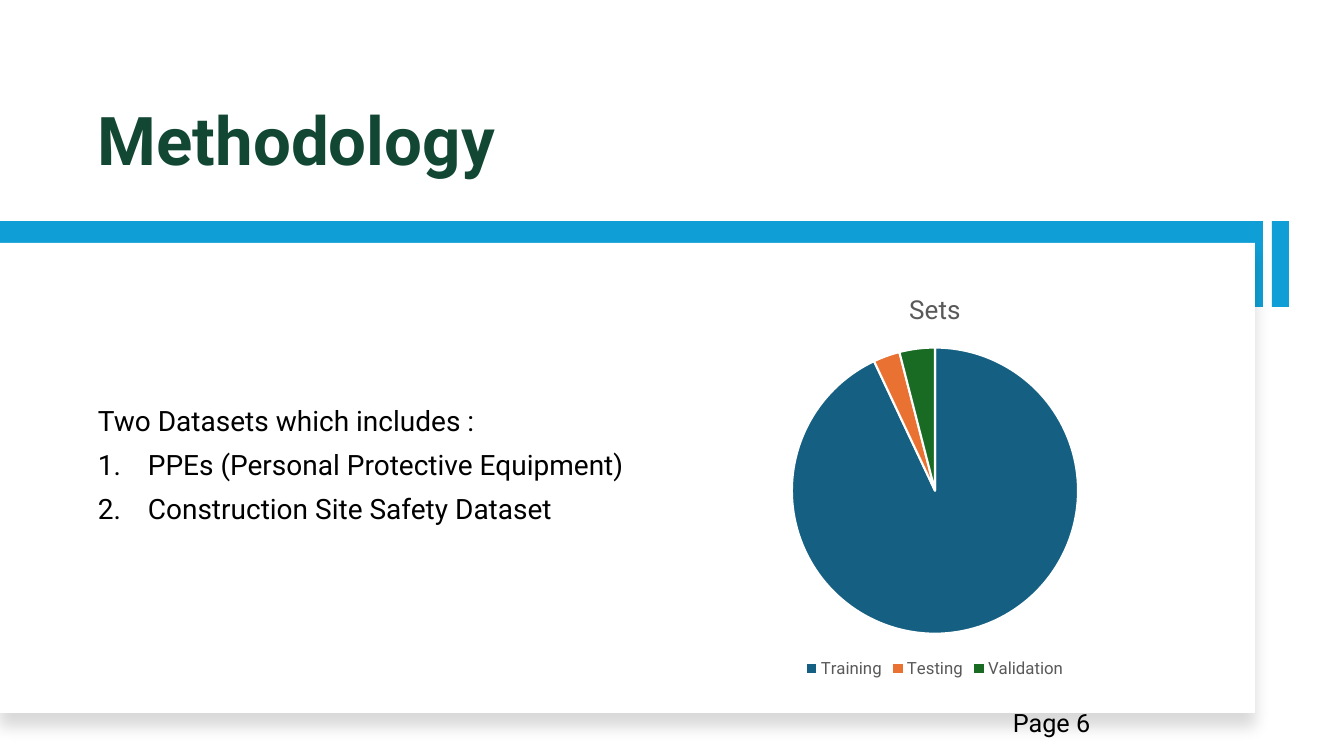
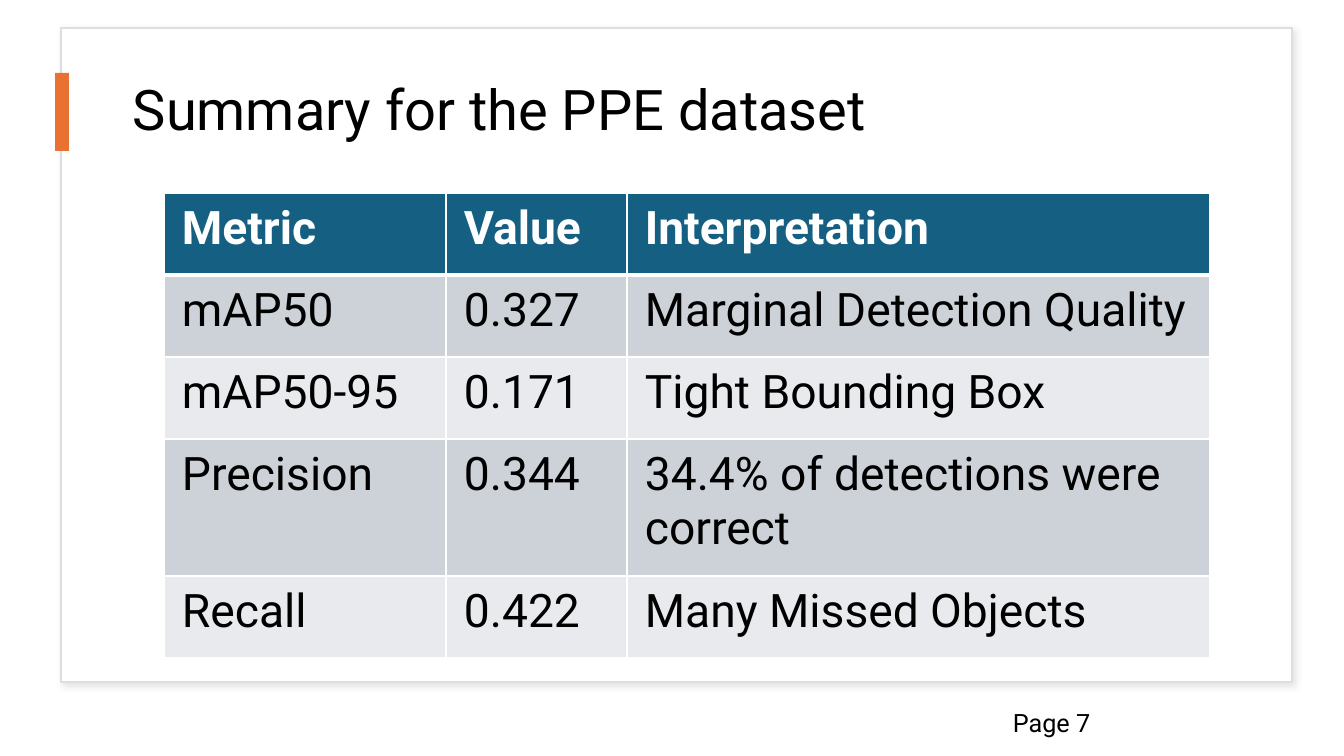
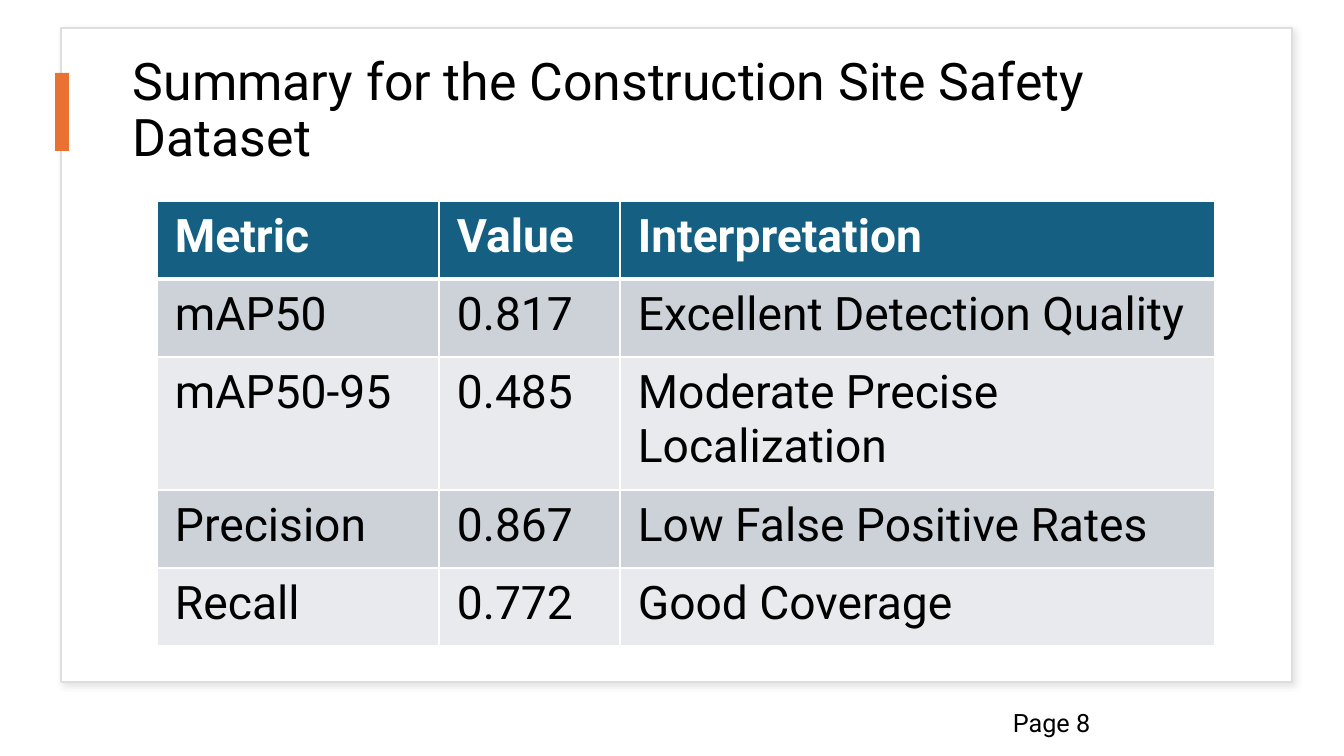
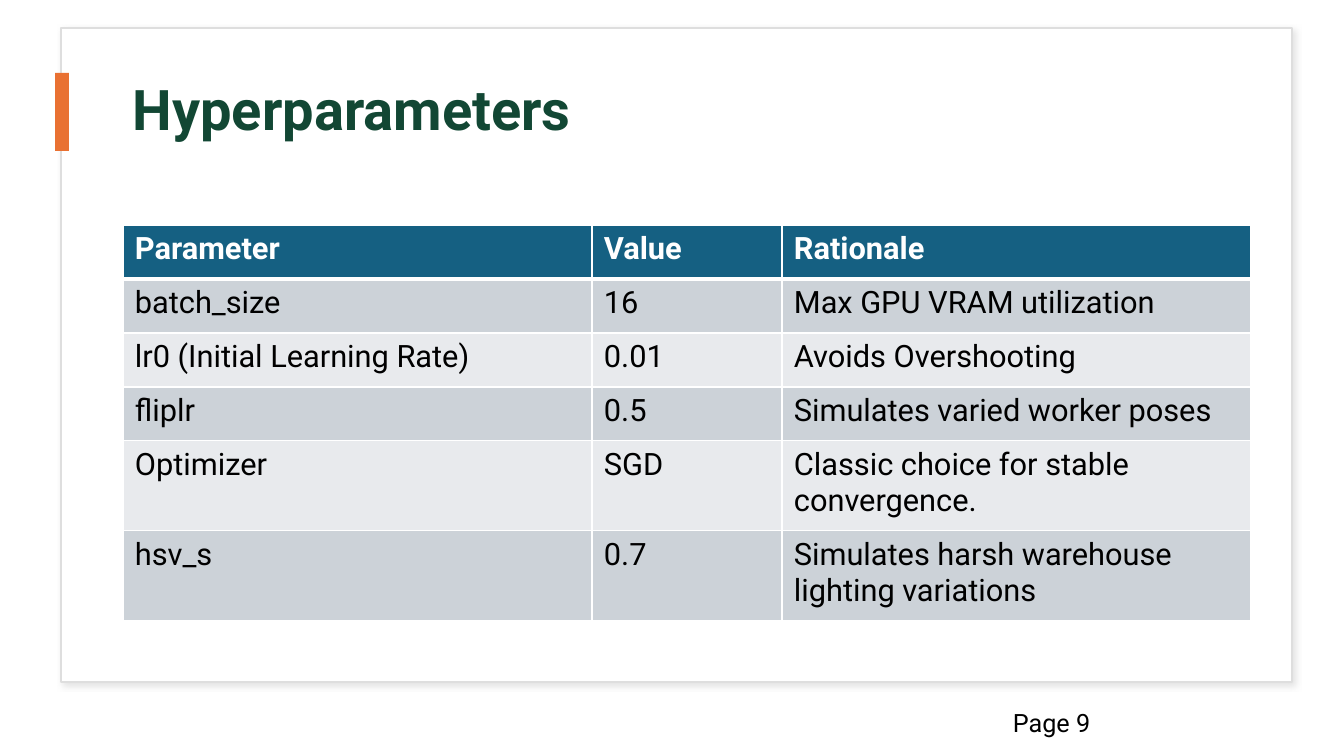
"""Build four slides on the methodology, results and hyperparameters of a safety detector."""
from dataclasses import dataclass

from lxml import etree
from pptx import Presentation
from pptx.chart.data import CategoryChartData
from pptx.dml.color import RGBColor
from pptx.enum.chart import XL_CHART_TYPE, XL_LEGEND_POSITION
from pptx.enum.shapes import MSO_SHAPE
from pptx.enum.text import MSO_ANCHOR
from pptx.oxml.ns import qn
from pptx.util import Emu, Pt

RECTANGLE = MSO_SHAPE.RECTANGLE
PIE = XL_CHART_TYPE.PIE
LEGEND_BOTTOM = XL_LEGEND_POSITION.BOTTOM
TOP, MIDDLE, BOTTOM = MSO_ANCHOR.TOP, MSO_ANCHOR.MIDDLE, MSO_ANCHOR.BOTTOM


@dataclass(frozen=True)
class Theme:
    font: str = "Roboto"
    ink: str = "000000"
    white: str = "FFFFFF"
    green: str = "124734"
    sky: str = "0F9ED5"
    teal: str = "156082"
    orange: str = "E97132"
    leaf: str = "196B24"
    gray: str = "595959"
    frame: str = "DEDEDE"
    frame_shadow: str = "C5C5C5"
    odd_row: str = "CCD2D8"
    even_row: str = "E8EAED"
    hero_size: float = 48
    title_size: float = 40
    long_title_size: float = 37
    metric_size: float = 33
    parameter_size: float = 22
    body_size: float = 20
    page_size: float = 18
    chart_title_size: float = 18.6
    legend_size: float = 12


THEME = Theme()
EMU_PER_PX = 12192000 / 1344


def px(length):
    return Emu(round(length * EMU_PER_PX))


def add_text(slide, box, lines, size, color=THEME.ink, bold=False, anchor=TOP, spacing=0.9, gap=0):
    frame = slide.shapes.add_textbox(*map(px, box)).text_frame
    frame.word_wrap = True
    frame.vertical_anchor = anchor
    frame.text = "\n".join(lines)
    for paragraph in frame.paragraphs:
        paragraph.line_spacing = spacing
        paragraph.space_before = Pt(gap)
        font = paragraph.runs[0].font
        font.name, font.size, font.bold = THEME.font, Pt(size), bold
        font.color.rgb = RGBColor.from_string(color)
    return frame


HERO_BLOCKS = [
    ((0, 221, 1263, 86), THEME.sky, None, None),
    ((0, 243, 1255, 470), THEME.white, None, (THEME.ink, 15, 11, 10, 90)),
    ((1272, 221, 17, 86), THEME.sky, None, None),
]
CARD_BLOCKS = [
    ((61, 28, 1231, 654), THEME.white, THEME.frame, (THEME.frame_shadow, 50, 4, 3, 45)),
    ((55, 73, 14, 78), THEME.orange, None, None),
]
HERO_TITLE = (88, 42, 1110, 143)
CARD_TITLE = (123, 56, 1128, 112)

PPE_RESULTS = {
    "corner": (164, 193), "columns": (282, 181, 583), "heights": (82, 82, 82, 137, 82),
    "size": THEME.metric_size, "insets": (18, 9),
    "rows": [
        ("Metric", "Value", "Interpretation"),
        ("mAP50", "0.327", "Marginal Detection Quality"),
        ("mAP50-95", "0.171", "Tight Bounding Box"),
        ("Precision", "0.344", "34.4% of detections were correct"),
        ("Recall", "0.422", "Many Missed Objects"),
    ],
}
SITE_RESULTS = {
    "corner": (157, 201), "columns": (282, 181, 595), "heights": (78, 78, 133, 78, 78),
    "size": THEME.metric_size, "insets": (18, 9),
    "rows": [
        ("Metric", "Value", "Interpretation"),
        ("mAP50", "0.817", "Excellent Detection Quality"),
        ("mAP50-95", "0.485", "Moderate Precise Localization"),
        ("Precision", "0.867", "Low False Positive Rates"),
        ("Recall", "0.772", "Good Coverage"),
    ],
}
HYPERPARAMETERS = {
    "corner": (123, 225), "columns": (469, 190, 469), "heights": (54, 54, 54, 54, 90, 90),
    "size": THEME.parameter_size, "insets": (12, 6),
    "rows": [
        ("Parameter", "Value", "Rationale"),
        ("batch_size", "16", "Max GPU VRAM utilization"),
        ("lr0 (Initial Learning Rate)", "0.01", "Avoids Overshooting"),
        ("fliplr", "0.5", "Simulates varied worker poses"),
        ("Optimizer", "SGD", "Classic choice for stable convergence."),
        ("hsv_s", "0.7", "Simulates harsh warehouse lighting variations"),
    ],
}
PAGES = [
    ("Methodology", HERO_TITLE, THEME.hero_size, THEME.green, BOTTOM, HERO_BLOCKS, None),
    ("Summary for the PPE dataset", CARD_TITLE, THEME.title_size, THEME.ink, MIDDLE,
     CARD_BLOCKS, PPE_RESULTS),
    ("Summary for the Construction Site Safety Dataset", CARD_TITLE, THEME.long_title_size,
     THEME.ink, MIDDLE, CARD_BLOCKS, SITE_RESULTS),
    ("Hyperparameters", CARD_TITLE, THEME.title_size, THEME.green, MIDDLE,
     CARD_BLOCKS, HYPERPARAMETERS),
]

deck = Presentation()
deck.slide_width, deck.slide_height = px(1344), px(756)

for number, (title, title_box, title_size, title_color, anchor, blocks, grid) in enumerate(PAGES, 6):
    slide = deck.slides.add_slide(deck.slide_layouts[6])

    for box, fill, outline, shadow in blocks:
        block = slide.shapes.add_shape(RECTANGLE, *map(px, box))
        block.fill.solid()
        block.fill.fore_color.rgb = RGBColor.from_string(fill)
        if outline:
            block.line.color.rgb = RGBColor.from_string(outline)
            block.line.width = Pt(1)
        else:
            block.line.fill.background()
        block.shadow.inherit = False
        if shadow:
            shade, opacity, blur, distance, angle = shadow
            effects = block._element.spPr.find(qn("a:effectLst"))
            outer = etree.SubElement(
                effects, qn("a:outerShdw"), blurRad=str(Pt(blur)), dist=str(Pt(distance)),
                dir=str(angle * 60000), algn="t", rotWithShape="0")
            tint = etree.SubElement(outer, qn("a:srgbClr"), val=shade)
            etree.SubElement(tint, qn("a:alpha"), val=str(opacity * 1000))

    add_text(slide, title_box, [title], title_size, title_color, title_color == THEME.green, anchor)
    add_text(slide, (1003, 702, 290, 40), [f"Page {number}"], THEME.page_size, spacing=1)

    if not grid:
        datasets = add_text(
            slide, (88, 286, 564, 361),
            ["Two Datasets which includes :", "PPEs (Personal Protective Equipment)",
             "Construction Site Safety Dataset"],
            THEME.body_size, anchor=MIDDLE, gap=10)
        for item in datasets.paragraphs[1:]:
            properties = item._p.get_or_add_pPr()
            properties.set("marL", str(px(50)))
            properties.set("indent", str(px(-50)))
            etree.SubElement(properties, qn("a:buAutoNum"), type="arabicPeriod")

        split = CategoryChartData()
        split.categories = ["Training", "Testing", "Validation"]
        split.add_series("Sets", (93, 3, 4))
        sets = slide.shapes.add_chart(PIE, *map(px, (651, 274, 568, 409)), split).chart
        sets.font.name, sets.font.size = THEME.font, Pt(THEME.legend_size)
        sets.has_title = True
        sets.chart_title.include_in_layout = False
        sets.chart_title.text_frame.text = "Sets"
        heading = sets.chart_title.text_frame.paragraphs[0].runs[0].font
        heading.size, heading.bold = Pt(THEME.chart_title_size), False
        sets.has_legend = True
        sets.legend.position = LEGEND_BOTTOM
        sets.legend.include_in_layout = False
        for font in (heading, sets.legend.font):
            font.name = THEME.font
            font.color.rgb = RGBColor.from_string(THEME.gray)
        sets.legend.font.size = Pt(THEME.legend_size)
        sets.plots[0].vary_by_categories = True
        for index, color in enumerate((THEME.teal, THEME.orange, THEME.leaf)):
            wedge = sets.plots[0].series[0].points[index].format
            wedge.fill.solid()
            wedge.fill.fore_color.rgb = RGBColor.from_string(color)
            wedge.line.color.rgb = RGBColor.from_string(THEME.white)
            wedge.line.width = Pt(1.5)
        continue

    rows, columns, heights = grid["rows"], grid["columns"], grid["heights"]
    extent = (*grid["corner"], sum(columns), sum(heights))
    table = slide.shapes.add_table(len(rows), len(columns), *map(px, extent)).table
    for column, width in zip(table.columns, columns):
        column.width = px(width)
    for r, (entries, height) in enumerate(zip(rows, heights)):
        table.rows[r].height = px(height)
        fill = THEME.teal if r == 0 else THEME.odd_row if r % 2 else THEME.even_row
        weights = {"lnL": 1, "lnR": 1, "lnT": 3 if r == 1 else 1, "lnB": 3 if r == 0 else 1}
        for c, entry in enumerate(entries):
            cell = table.cell(r, c)
            cell.margin_left = cell.margin_right = px(grid["insets"][0])
            cell.margin_top = cell.margin_bottom = px(grid["insets"][1])
            for side, weight in weights.items():
                border = etree.SubElement(cell._tc.get_or_add_tcPr(), qn(f"a:{side}"), w=str(Pt(weight)))
                paint = etree.SubElement(border, qn("a:solidFill"))
                etree.SubElement(paint, qn("a:srgbClr"), val=THEME.white)
            cell.fill.solid()
            cell.fill.fore_color.rgb = RGBColor.from_string(fill)
            cell.text_frame.text = entry
            font = cell.text_frame.paragraphs[0].runs[0].font
            font.name, font.size, font.bold = THEME.font, Pt(grid["size"]), r == 0
            font.color.rgb = RGBColor.from_string(THEME.ink if r else THEME.white)

deck.save("out.pptx")
